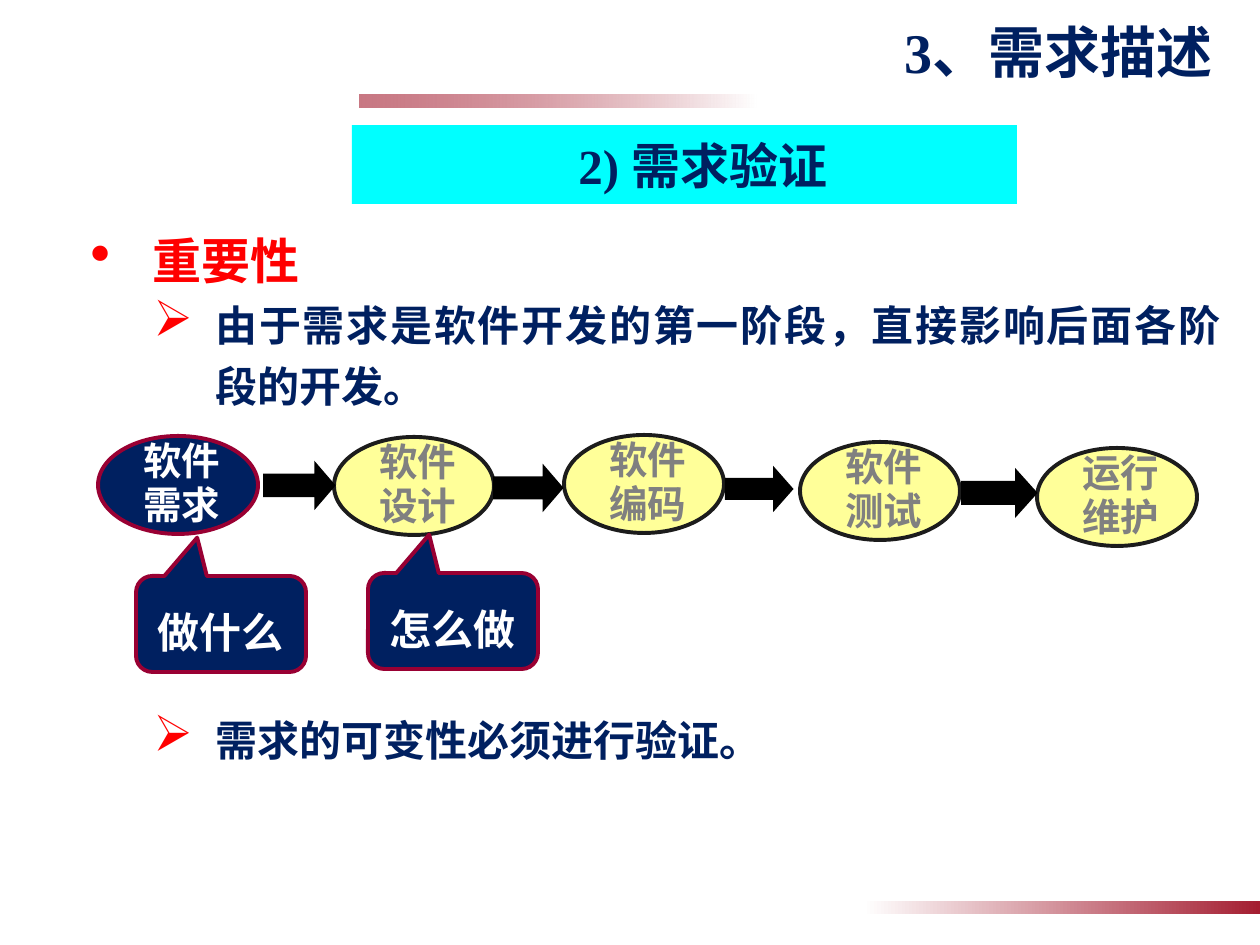
"""Build the requirements verification slide."""

from dataclasses import dataclass

from lxml import etree
from pptx import Presentation
from pptx.dml.color import RGBColor
from pptx.enum.shapes import MSO_SHAPE
from pptx.enum.text import MSO_ANCHOR, PP_ALIGN
from pptx.oxml.ns import qn
from pptx.util import Pt

RECT, ELLIPSE = MSO_SHAPE.RECTANGLE, MSO_SHAPE.OVAL
ARROW, CALLOUT = MSO_SHAPE.RIGHT_ARROW, MSO_SHAPE.ROUNDED_RECTANGULAR_CALLOUT
TOP, MIDDLE = MSO_ANCHOR.TOP, MSO_ANCHOR.MIDDLE
LEFT, CENTER, RIGHT = PP_ALIGN.LEFT, PP_ALIGN.CENTER, PP_ALIGN.RIGHT
JUSTIFY = PP_ALIGN.JUSTIFY
PX_PER_INCH = 126


@dataclass(frozen=True)
class Theme:
    font: str = "Times New Roman"
    navy: str = "002060"
    white: str = "FFFFFF"
    red: str = "FF0000"
    crimson: str = "A41E31"
    maroon: str = "990033"
    cyan: str = "00FFFF"
    yellow: str = "FFFF99"
    black: str = "000000"
    charcoal: str = "1C1C1C"
    gray: str = "808080"
    title: int = 32
    heading: int = 28
    body: int = 24
    stage: int = 22
    outline: float = 2.25


@dataclass(frozen=True)
class Box:
    left: int
    top: int
    width: int
    height: int


@dataclass(frozen=True)
class Stage:
    name: str
    left: int
    top: int
    fill: str
    line: str
    color: str


@dataclass(frozen=True)
class Flow:
    box: Box
    head: float


@dataclass(frozen=True)
class Answer:
    words: str
    left: int
    top: int


@dataclass(frozen=True)
class Point:
    words: str
    mark: str
    size: int
    color: str
    align: PP_ALIGN
    indent: int
    spacing: float
    before: int = 0


THEME = Theme()
STAGES = [
    Stage("软件需求", 98, 436, THEME.navy, THEME.maroon, THEME.white),
    Stage("软件设计", 334, 437, THEME.yellow, THEME.charcoal, THEME.gray),
    Stage("软件编码", 564, 435, THEME.yellow, THEME.charcoal, THEME.gray),
    Stage("软件测试", 800, 442, THEME.yellow, THEME.charcoal, THEME.gray),
    Stage("运行维护", 1037, 448, THEME.yellow, THEME.charcoal, THEME.gray),
]
FLOWS = [
    Flow(Box(265, 466, 68, 39), 0.43),
    Flow(Box(495, 469, 66, 38), 0.43),
    Flow(Box(727, 471, 64, 36), 0.44),
    Flow(Box(963, 473, 72, 40), 0.45),
]
ANSWERS = [Answer("做什么", 136, 576), Answer("怎么做", 368, 573)]
POINTS = [
    Point("重要性", "•", THEME.heading, THEME.red, LEFT, 62, 1.3),
    Point("由于需求是软件开发的第一阶段，直接影响后面各阶段的开发。", "➢",
          THEME.body, THEME.navy, JUSTIFY, 125, 1.2),
    Point("需求的可变性必须进行验证。", "➢",
          THEME.body, THEME.navy, JUSTIFY, 125, 1.2, 168),
]


def emu(px: int) -> int:
    """Convert px to EMU."""
    return round(px * 914400 / PX_PER_INCH)


def place(box: Box) -> tuple[int, ...]:
    """Return the position and size of a box in EMU."""
    return tuple(map(emu, (box.left, box.top, box.width, box.height)))


def write(paragraph, words: str, size: int, color: str, align: PP_ALIGN,
          spacing: float = 1.0) -> None:
    """Add one bold run to an aligned paragraph."""
    paragraph.alignment = align
    paragraph.line_spacing = spacing
    run = paragraph.add_run()
    run.text = words
    run.font.name = THEME.font
    run.font.size = Pt(size)
    run.font.bold = True
    run.font.color.rgb = RGBColor.from_string(color)


def add_shape(slide, kind: MSO_SHAPE, box: Box, fill: str = "", line: str = "",
              adjustments: tuple[float, ...] = ()):
    """Add a preset shape with an optional fill, outline and adjustments."""
    shape = slide.shapes.add_shape(kind, *place(box))
    shape.shadow.inherit = False
    for index, value in enumerate(adjustments):
        shape.adjustments[index] = value
    if fill:
        shape.fill.solid()
        shape.fill.fore_color.rgb = RGBColor.from_string(fill)
    if line:
        shape.line.color.rgb = RGBColor.from_string(line)
        shape.line.width = Pt(THEME.outline)
    else:
        shape.line.fill.background()
    return shape


def add_text_box(slide, box: Box, anchor: MSO_ANCHOR = TOP):
    """Add a wrapping text box and return its frame."""
    frame = slide.shapes.add_textbox(*place(box)).text_frame
    frame.word_wrap = True
    frame.vertical_anchor = anchor
    return frame


def add_fading_bar(slide, box: Box, rotation: int = 0, opacity: int = 100) -> None:
    """Add a bar that fades from white to crimson."""
    bar = add_shape(slide, RECT, box)
    bar.rotation = rotation
    bar.fill.gradient()
    bar.fill.gradient_angle = 0
    for stop, color in zip(bar.fill.gradient_stops, (THEME.white, THEME.crimson)):
        stop.color.rgb = RGBColor.from_string(color)
    if opacity < 100:
        crimson = bar._element.spPr.findall(".//" + qn("a:srgbClr"))[-1]
        etree.SubElement(crimson, qn("a:alpha"), val=str(opacity * 1000))


def add_points(slide, box: Box, points: list[Point]) -> None:
    """Add the bulleted points in one text box."""
    frame = add_text_box(slide, box)
    for index, point in enumerate(points):
        paragraph = frame.add_paragraph() if index else frame.paragraphs[0]
        properties = paragraph._p.get_or_add_pPr()
        properties.set("marL", str(emu(point.indent)))
        properties.set("indent", str(-emu(62)))
        color = etree.SubElement(properties, qn("a:buClr"))
        etree.SubElement(color, qn("a:srgbClr"), val=THEME.red)
        etree.SubElement(properties, qn("a:buSzPct"), val="120000")
        etree.SubElement(properties, qn("a:buChar"), char=point.mark)
        if point.before:
            paragraph.space_before = Pt(point.before)
        write(paragraph, point.words, point.size, point.color, point.align,
              point.spacing)


def add_stage(slide, stage: Stage) -> None:
    """Add one development stage with its name."""
    add_shape(slide, ELLIPSE, Box(stage.left, stage.top, 160, 98), stage.fill, stage.line)
    frame = add_text_box(slide, Box(stage.left + 27, stage.top - 2, 113, 101))
    write(frame.paragraphs[0], stage.name, THEME.stage, stage.color, CENTER, 0.95)


def add_flow(slide, flow: Flow) -> None:
    """Add a sharp-cornered arrow between two stages."""
    arrow = add_shape(slide, ARROW, flow.box, THEME.black, THEME.black, (0.5, flow.head))
    etree.SubElement(arrow.line._get_or_add_ln(), qn("a:miter"), lim="800000")


def add_answer(slide, answer: Answer) -> None:
    """Add a callout that says what a stage answers."""
    callout = add_shape(slide, CALLOUT, Box(answer.left, answer.top, 170, 96),
                        THEME.navy, THEME.maroon, (-0.14, -0.9, 0.17))
    callout.text_frame.vertical_anchor = MIDDLE
    write(callout.text_frame.paragraphs[0], answer.words, THEME.body, THEME.white,
          CENTER, 1.3)


def main() -> None:
    """Build and save the slide."""
    deck = Presentation()
    deck.slide_width, deck.slide_height = emu(1260), emu(945)
    slide = deck.slides.add_slide(deck.slide_layouts[6])
    add_fading_bar(slide, Box(359, 94, 397, 13), 180, 60)
    add_fading_bar(slide, Box(863, 901, 397, 13))
    add_points(slide, Box(78, 207, 1155, 578), POINTS)
    for stage in STAGES:
        add_stage(slide, stage)
    for flow in FLOWS:
        add_flow(slide, flow)
    for answer in ANSWERS:
        add_answer(slide, answer)
    title = add_text_box(slide, Box(154, 6, 1071, 91), MIDDLE)
    write(title.paragraphs[0], "3、需求描述", THEME.title, THEME.navy, RIGHT)
    banner = add_shape(slide, RECT, Box(352, 125, 665, 79), THEME.cyan).text_frame
    banner.vertical_anchor = TOP
    banner.margin_left = emu(49)
    banner.margin_top = banner.margin_bottom = emu(10)
    write(banner.paragraphs[0], "2) 需求验证", THEME.heading, THEME.navy, CENTER)
    deck.save("out.pptx")


if __name__ == "__main__":
    main()
